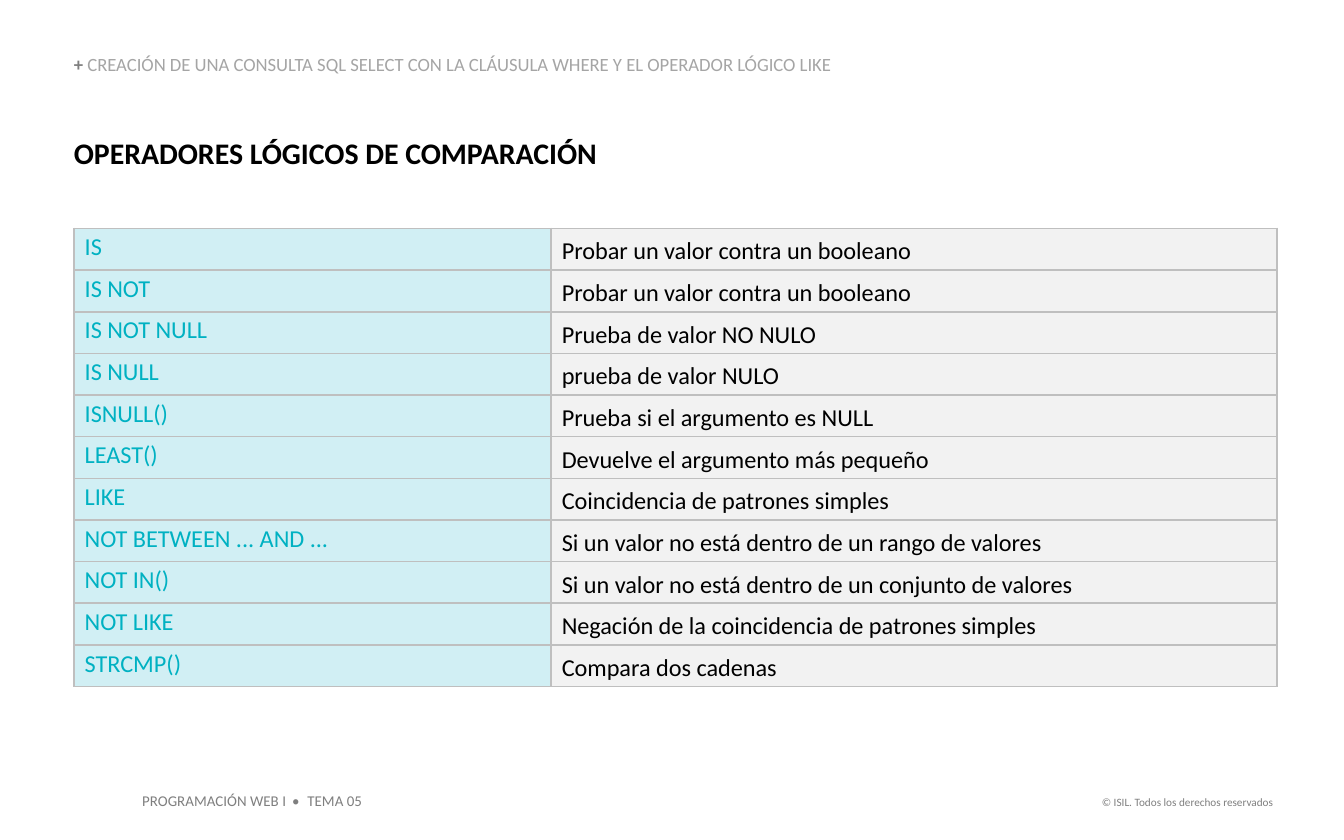
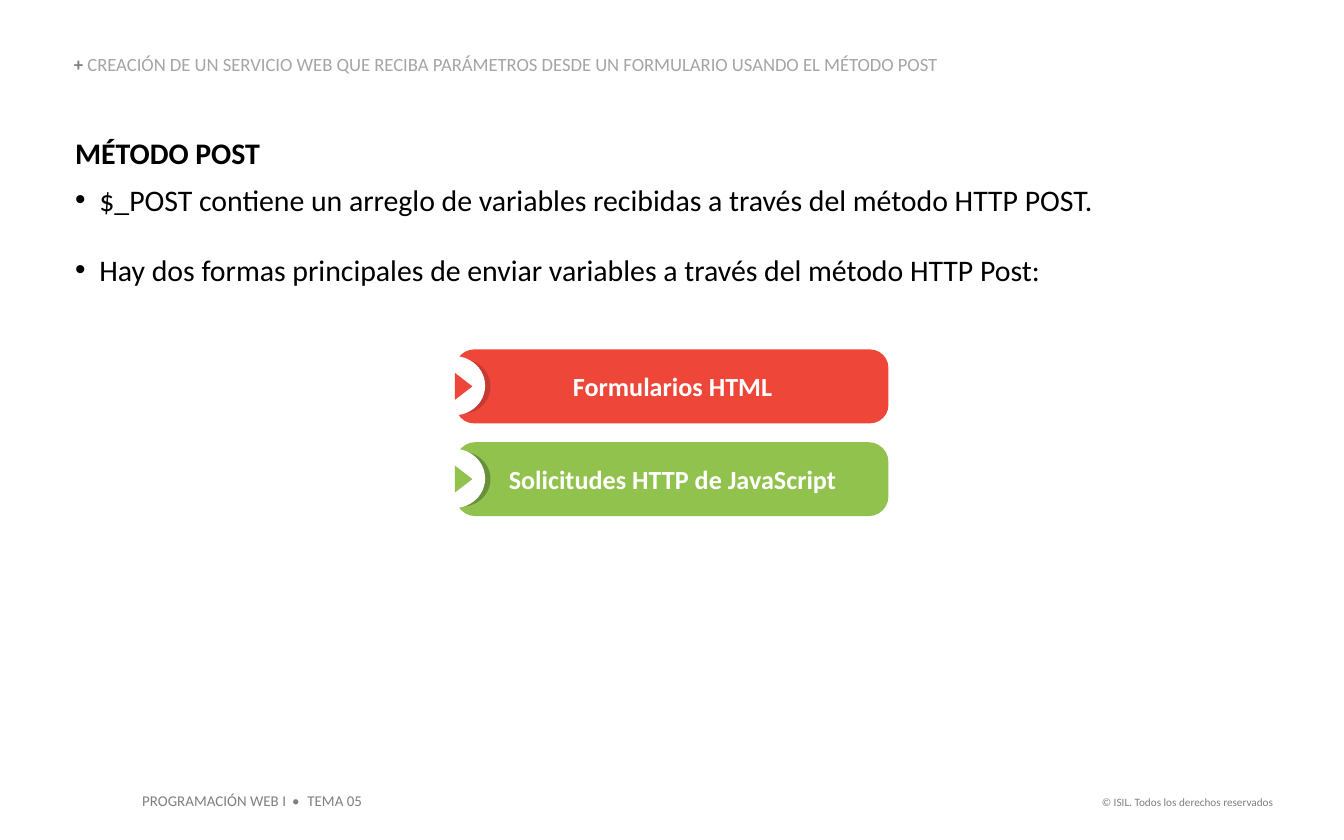
from dataclasses import dataclass
from typing import Optional

from lxml import etree
from pptx import Presentation, util as u
from pptx.dml.color import RGBColor
from pptx.enum import shapes, text
from pptx.oxml.ns import qn

FONT = "Calibri"
BLACK, WHITE = "000000", "FFFFFF"
DARK_GRAY, LIGHT_GRAY, BORDER = "7F7F7F", "A5A5A5", "BFBFBF"
CYAN, CYAN_TINT, GRAY_TINT = "00B1C2", "D1EFF4", "F2F2F2"
LEFT = 0.55


@dataclass
class Span:
    words: str
    size: float
    color: str
    bold: bool = False
    spacing: int = 0  # hundredths of a point


@dataclass
class Para:
    spans: list[Span]
    align: Optional[text.PP_ALIGN] = None
    line_spacing: Optional[float] = None
    before: float = 0
    margin: float = 0
    bullet: bool = False


@dataclass
class Option:
    label: str
    top: float
    color: str
    shade: str
    rounding: float


OPERATORS = [
    ("IS", "Probar un valor contra un booleano"),
    ("IS NOT", "Probar un valor contra un booleano"),
    ("IS NOT NULL", "Prueba de valor NO NULO"),
    ("IS NULL", "prueba de valor NULO"),
    ("ISNULL()", "Prueba si el argumento es NULL"),
    ("LEAST()", "Devuelve el argumento más pequeño"),
    ("LIKE", "Coincidencia de patrones simples"),
    ("NOT BETWEEN ... AND ...", "Si un valor no está dentro de un rango de valores"),
    ("NOT IN()", "Si un valor no está dentro de un conjunto de valores"),
    ("NOT LIKE", "Negación de la coincidencia de patrones simples"),
    ("STRCMP()", "Compara dos cadenas"),
]

OPTIONS = [
    Option("Solicitudes HTTP de JavaScript", 3.29, "92C24E", "6A8F3A", 0.267),
    Option("Formularios HTML", 2.6, "EE4639", "C73A31", 0.248),
]


def rgb(color: str) -> RGBColor:
    return RGBColor.from_string(color)


def set_margins(target, left: float, top: float, right: float, bottom: float) -> None:
    target.margin_left, target.margin_top = u.Inches(left), u.Inches(top)
    target.margin_right, target.margin_bottom = u.Inches(right), u.Inches(bottom)


def add_bullet(paragraph, margin: float) -> None:
    properties = paragraph._p.get_or_add_pPr()
    properties.set("marL", str(u.Inches(margin)))
    properties.set("indent", str(-u.Inches(0.18)))
    color = etree.SubElement(properties, qn("a:buClr"))
    etree.SubElement(color, qn("a:srgbClr"), val=BLACK)
    etree.SubElement(properties, qn("a:buFont"), typeface="Arial")
    etree.SubElement(properties, qn("a:buChar"), char="•")


def write(frame, paras: list[Para]) -> None:
    for index, para in enumerate(paras):
        paragraph = frame.paragraphs[0] if index == 0 else frame.add_paragraph()
        if para.bullet:
            add_bullet(paragraph, para.margin)
        elif para.margin:
            paragraph._p.get_or_add_pPr().set("marL", str(u.Inches(para.margin)))
        if para.align is not None:
            paragraph.alignment = para.align
        if para.line_spacing:
            paragraph.line_spacing = para.line_spacing
        if para.before:
            paragraph.space_before = u.Pt(para.before)
        for span in para.spans:
            run = paragraph.add_run()
            run.text = span.words
            run.font.name, run.font.size = FONT, u.Pt(span.size)
            run.font.bold = span.bold
            run.font.color.rgb = rgb(span.color)
            if span.spacing:
                run._r.get_or_add_rPr().set("spc", str(span.spacing))


def add_text(page, left: float, top: float, width: float, height: float,
             paras: list[Para], inset: tuple[float, float] = (0, 0),
             anchor=text.MSO_ANCHOR.TOP) -> None:
    box = page.shapes.add_textbox(*map(u.Inches, (left, top, width, height)))
    frame = box.text_frame
    frame.word_wrap = True
    frame.auto_size = text.MSO_AUTO_SIZE.SHAPE_TO_FIT_TEXT
    frame.vertical_anchor = anchor
    set_margins(frame, *inset, *inset)
    write(frame, paras)


def add_solid(parent, kind, left: float, top: float, width: float, height: float, color: str):
    shape = parent.shapes.add_shape(kind, *map(u.Inches, (left, top, width, height)))
    shape.shadow.inherit = False
    shape.fill.solid()
    shape.fill.fore_color.rgb = rgb(color)
    shape.line.fill.background()
    return shape


def add_page(deck, topic: str):
    """Blank page with the shared footers and topic line."""
    page = deck.slides.add_slide(deck.slide_layouts[6])
    rights = Span("© ISIL. Todos los derechos reservados", 6, DARK_GRAY)
    add_text(page, 8.07, 5.87, 1.5, 0.2, [Para([rights], text.PP_ALIGN.RIGHT)], (0.1, 0.05))
    course = [Span("PROGRAMACIÓN WEB I", 8, DARK_GRAY),
              Span(" • ", 8, DARK_GRAY, spacing=120),
              Span("TEMA 05", 8, DARK_GRAY)]
    add_text(page, 0.96, 5.84, 1.9, 0.24, [Para(course)], (0.1, 0.05))
    spans = [Span("+ ", 10, DARK_GRAY, True), Span(topic, 10, LIGHT_GRAY)]
    add_text(page, LEFT, 0.41, 7.99, 0.15, [Para(spans, line_spacing=0.9)],
             anchor=text.MSO_ANCHOR.BOTTOM)
    return page


def title(words: str, margin: float = 0) -> Para:
    return Para([Span(words, 16, BLACK, True)], margin=margin)


def style_cell(cell, fill: str, para: Para) -> None:
    set_margins(cell, 0.08, 0.03, 0.03, 0.03)
    properties = cell._tc.get_or_add_tcPr()
    for side in ("lnL", "lnR", "lnT", "lnB"):
        edge = etree.SubElement(properties, qn(f"a:{side}"), w=str(u.Pt(1)))
        paint = etree.SubElement(edge, qn("a:solidFill"))
        etree.SubElement(paint, qn("a:srgbClr"), val=BORDER)
    cell.fill.solid()
    cell.fill.fore_color.rgb = rgb(fill)
    write(cell.text_frame, [para])


def add_operator_table(page) -> None:
    widths, row_height = (3.55, 5.4), 0.31
    table = page.shapes.add_table(
        len(OPERATORS), len(widths), u.Inches(LEFT), u.Inches(1.7),
        u.Inches(sum(widths)), u.Inches(row_height * len(OPERATORS))).table
    table.first_row = table.horz_banding = False
    for column, width in zip(table.columns, widths):
        column.width = u.Inches(width)
    for row, (operator, meaning) in zip(table.rows, OPERATORS):
        row.height = u.Inches(row_height)
        style_cell(row.cells[0], CYAN_TINT, Para([Span(operator, 13, CYAN)]))
        style_cell(row.cells[1], GRAY_TINT,
                   Para([Span(meaning, 13, BLACK)], line_spacing=1.15))


def add_option(page, option: Option) -> None:
    kinds = shapes.MSO_SHAPE
    top = option.top
    bar = add_solid(page, kinds.ROUNDED_RECTANGLE, 3.39, top, 3.22, 0.55, option.color)
    bar.adjustments[0] = option.rounding
    bar.text_frame.word_wrap = True
    bar.text_frame.vertical_anchor = text.MSO_ANCHOR.MIDDLE
    set_margins(bar.text_frame, 0.1, 0.05, 0.1, 0.05)
    label = Span(option.label, 14, WHITE, True)
    write(bar.text_frame, [Para([label], text.PP_ALIGN.CENTER, margin=0.01)])
    # Arrow badge over the left end of the bar
    badge = page.shapes.add_group_shape()
    add_solid(badge, kinds.OVAL, 3.22, top + 0.07, 0.43, 0.41, option.shade)
    add_solid(badge, kinds.OVAL, 3.15, top + 0.05, 0.46, 0.44, WHITE)
    arrow = add_solid(badge, kinds.ISOSCELES_TRIANGLE, 3.35, top + 0.21, 0.2, 0.13, option.color)
    arrow.rotation = 90


def main() -> None:
    deck = Presentation()
    deck.slide_width, deck.slide_height = u.Inches(10), u.Inches(6.25)

    # Comparison operators
    page = add_page(deck, "CREACIÓN DE UNA CONSULTA SQL SELECT CON LA CLÁUSULA WHERE "
                          "Y EL OPERADOR LÓGICO LIKE")
    add_operator_table(page)
    add_text(page, LEFT, 1, 5, 0.27, [title("OPERADORES LÓGICOS DE COMPARACIÓN")])

    # POST method
    page = add_page(deck, "CREACIÓN DE UN SERVICIO WEB QUE RECIBA PARÁMETROS DESDE "
                          "UN FORMULARIO USANDO EL MÉTODO POST")
    points = [
        ("$_POST contiene un arreglo de variables recibidas a través del método HTTP POST.", 6),
        ("Hay dos formas principales de enviar variables a través del método HTTP Post:", 18.5),
    ]
    add_text(page, LEFT, 1, 8.43, 1.16, [title("MÉTODO POST", 0.01)] + [
        Para([Span(words, 16, BLACK)], before=gap, margin=0.19, bullet=True)
        for words, gap in points])
    for option in OPTIONS:
        add_option(page, option)

    deck.save("out.pptx")


if __name__ == "__main__":
    main()
